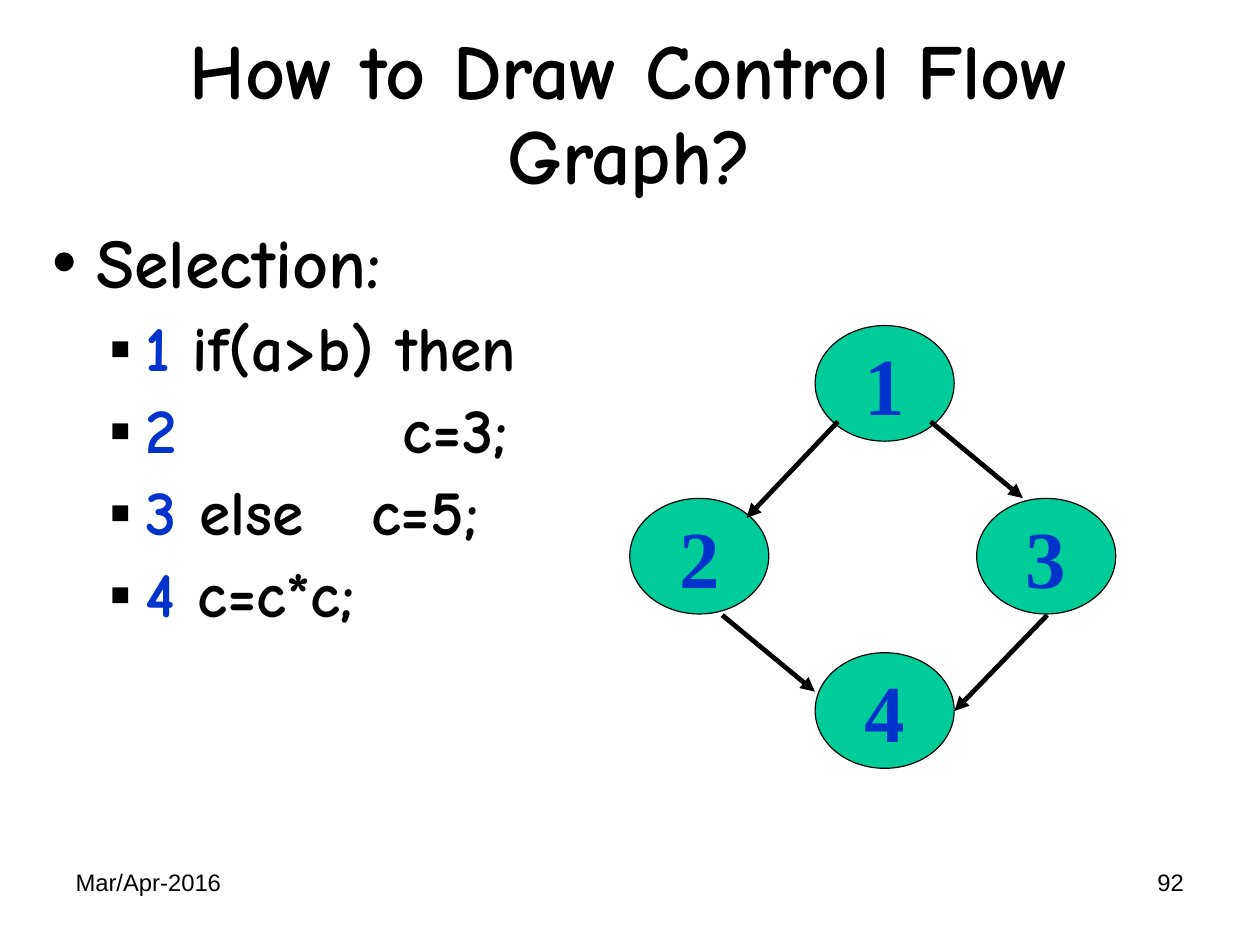
from lxml import etree
from pptx import Presentation
from pptx.dml.color import RGBColor
from pptx.enum.shapes import MSO_CONNECTOR, MSO_SHAPE
from pptx.enum.text import MSO_ANCHOR, MSO_AUTO_SIZE, PP_ALIGN
from pptx.oxml.ns import qn
from pptx.util import Cm, Pt

BLACK = RGBColor(0x00, 0x00, 0x00)
BLUE = RGBColor(0x00, 0x33, 0xCC)
GREEN = RGBColor(0x00, 0xCC, 0x99)
LEFT, CENTER, RIGHT = PP_ALIGN.LEFT, PP_ALIGN.CENTER, PP_ALIGN.RIGHT
TOP, MIDDLE = MSO_ANCHOR.TOP, MSO_ANCHOR.MIDDLE
NO_AUTOFIT = MSO_AUTO_SIZE.NONE
OVAL, STRAIGHT = MSO_SHAPE.OVAL, MSO_CONNECTOR.STRAIGHT
TITLE_ONLY = 5

HEADING_FONT = "Comic Neue"
NODE_WIDTH, NODE_HEIGHT = 3.09, 2.57
TIGHT = 0.91

CODE_LINES = [
    ("1", " if(a>b) then"),
    ("2", "          c=3;"),
    ("3", " else   c=5;"),
    ("4", " c=c*c;"),
]
# Node label: centre in cm
NODES = {
    "1": (19.66, 8.52),
    "2": (15.54, 12.36),
    "3": (23.25, 12.36),
    "4": (19.66, 15.79),
}
# Start and end of each arrow in cm
EDGES = [
    ((18.62, 9.37), (16.59, 11.51)),
    ((20.68, 9.37), (22.73, 11.07)),
    ((16.05, 13.67), (18.11, 15.37)),
    ((23.27, 13.67), (21.21, 15.8)),
]


def add_run(paragraph, text, font=HEADING_FONT, size=40, color=BLACK, bold=True):
    run = paragraph.add_run()
    run.text = text
    run.font.name = font
    run.font.size = Pt(size)
    run.font.bold = bold
    run.font.color.rgb = color


def prepare_frame(shape, anchor=TOP):
    frame = shape.text_frame
    frame.word_wrap = True
    frame.auto_size = NO_AUTOFIT
    frame.vertical_anchor = anchor
    frame.margin_left = frame.margin_right = Cm(0.28)
    frame.margin_top = frame.margin_bottom = Cm(0.15)
    return frame


def add_box(slide, left, top, width, height):
    box = slide.shapes.add_textbox(Cm(left), Cm(top), Cm(width), Cm(height))
    return prepare_frame(box)


def set_bullet(paragraph, character, margin, hanging):
    properties = paragraph._p.get_or_add_pPr()
    properties.set("marL", str(Cm(margin)))
    properties.set("indent", str(-Cm(hanging)))
    color = etree.SubElement(properties, qn("a:buClr"))
    etree.SubElement(color, qn("a:srgbClr"), val=str(BLACK))
    etree.SubElement(properties, qn("a:buFont"), typeface="Arial")
    etree.SubElement(properties, qn("a:buChar"), char=character)


def set_title(slide, text):
    title = slide.shapes.title
    title.left, title.top = Cm(1.4), Cm(-0.13)
    title.width, title.height = Cm(25.17), Cm(5.44)
    paragraph = prepare_frame(title, MIDDLE).paragraphs[0]
    paragraph.alignment = CENTER
    paragraph.line_spacing = TIGHT
    add_run(paragraph, text, size=49)


def add_code_list(slide, heading, lines):
    frame = add_box(slide, 0.89, 4.9, 25.7, 14.86)
    paragraph = frame.paragraphs[0]
    set_bullet(paragraph, "•", 0.97, 0.97)
    paragraph.line_spacing = TIGHT
    add_run(paragraph, heading, size=44)
    for number, code in lines:
        paragraph = frame.add_paragraph()
        paragraph.level = 1
        set_bullet(paragraph, "▪", 2.06, 0.79)
        paragraph.line_spacing = TIGHT
        paragraph.space_before = Pt(8)
        add_run(paragraph, number, color=BLUE)
        add_run(paragraph, code)


def add_node(slide, label, center_x, center_y):
    node = slide.shapes.add_shape(
        OVAL, Cm(center_x - NODE_WIDTH / 2), Cm(center_y - NODE_HEIGHT / 2),
        Cm(NODE_WIDTH), Cm(NODE_HEIGHT))
    node.shadow.inherit = False
    node.fill.solid()
    node.fill.fore_color.rgb = GREEN
    node.line.color.rgb = BLACK
    node.line.width = Pt(0.75)
    paragraph = prepare_frame(node, MIDDLE).paragraphs[0]
    paragraph.alignment = CENTER
    add_run(paragraph, label, font="Times New Roman", size=51, color=BLUE)


def add_arrow(slide, start, end):
    arrow = slide.shapes.add_connector(STRAIGHT, *map(Cm, start + end))
    arrow.line.color.rgb = BLACK
    arrow.line.width = Pt(3)
    etree.SubElement(arrow.line._get_or_add_ln(), qn("a:tailEnd"), type="triangle")
    etree.SubElement(arrow._element.spPr, qn("a:effectLst"))


def add_footer(slide, text, left, alignment):
    paragraph = add_box(slide, left, 19.13, 6.52, 1.45).paragraphs[0]
    paragraph.alignment = alignment
    add_run(paragraph, text, font="Arial", size=15, bold=False)


def main():
    presentation = Presentation()
    presentation.slide_width, presentation.slide_height = Cm(28), Cm(21)
    slide = presentation.slides.add_slide(presentation.slide_layouts[TITLE_ONLY])

    # Title and code
    set_title(slide, "How to Draw Control Flow Graph?")
    add_code_list(slide, "Selection:", CODE_LINES)

    # Control flow graph
    for label, center in NODES.items():
        add_node(slide, label, *center)
    for start, end in EDGES:
        add_arrow(slide, start, end)

    # Footer
    add_footer(slide, "Mar/Apr-2016", 1.4, LEFT)
    add_footer(slide, "92", 20.07, RIGHT)

    presentation.save("out.pptx")


if __name__ == "__main__":
    main()
